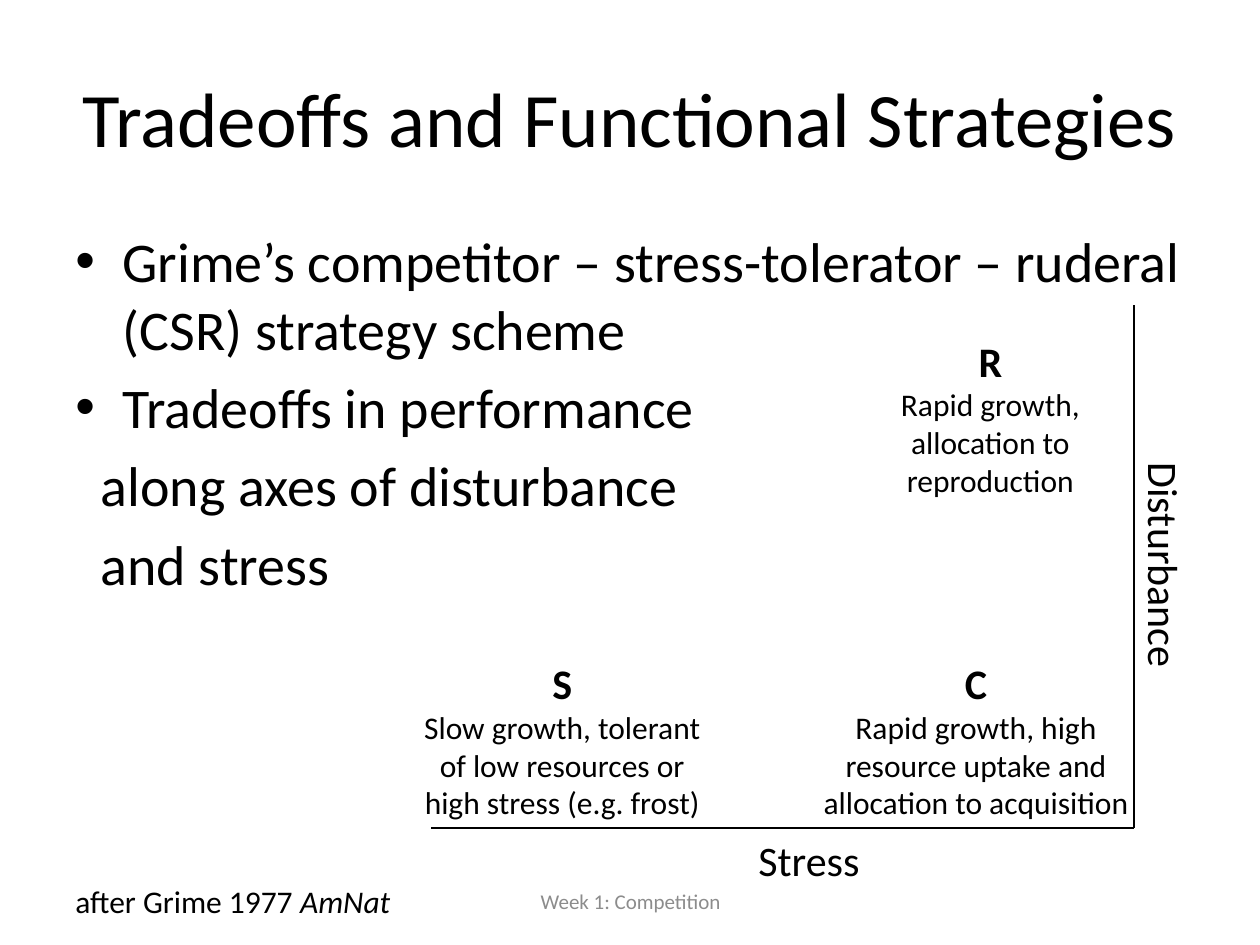
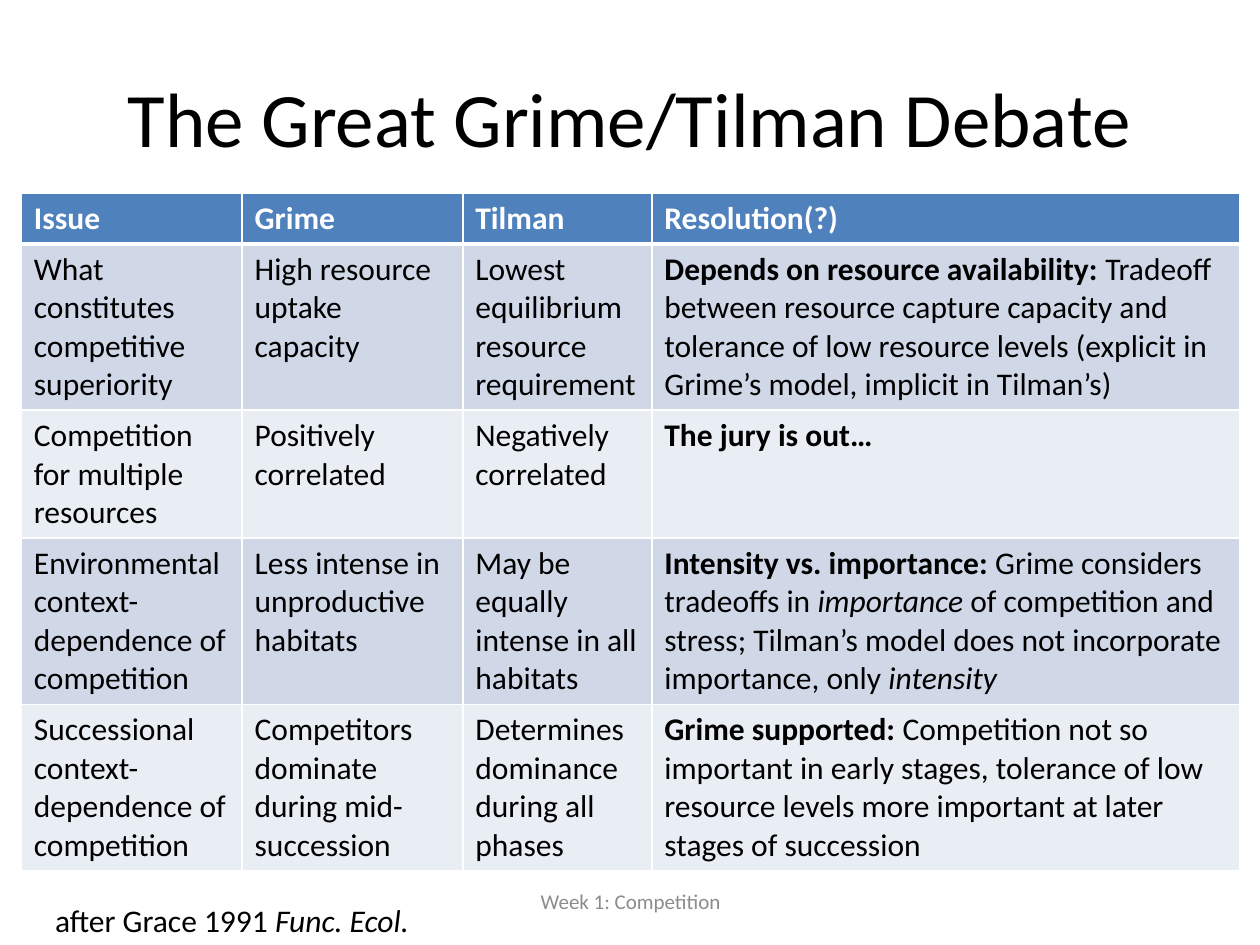
from lxml.etree import SubElement
from pptx import Presentation
from pptx.dml.color import RGBColor
from pptx.enum.shapes import MSO_CONNECTOR
from pptx.enum.text import MSO_ANCHOR, PP_ALIGN
from pptx.oxml.ns import qn
from pptx.util import Cm, Pt

FONT = "Calibri"
BLACK, WHITE, GREY = "000000", "FFFFFF", "8C8C8C"
HEADER_FILL = "4F81BD"
BAND_FILLS = ("D0D8E8", "E9EDF4")
TITLE_ONLY = 5

TITLE_BOX = (1.27, 0.76, 22.86, 3.18)
FOOTER_BOX = (8.69, 17.65, 8.05, 1.02)
FOOTER = "Week 1: Competition"

# A text is a string, or a list of strings and (string, style) pairs.
BOLD, ITALIC = "bold", "italic"

DEBATE_ROWS = [
    ["Issue", "Grime", "Tilman", "Resolution(?)"],
    ["What constitutes competitive superiority",
     "High resource uptake capacity",
     "Lowest equilibrium resource requirement",
     [("Depends on resource availability: ", BOLD),
      "Tradeoff between resource capture capacity and tolerance of low resource "
      "levels (explicit in Grime’s model, implicit in Tilman’s)"]],
    ["Competition for multiple resources",
     "Positively correlated",
     "Negatively correlated",
     [("The jury is out…", BOLD)]],
    ["Environmental context-dependence of competition",
     "Less intense in unproductive habitats",
     "May be equally intense in all habitats",
     [("Intensity vs. importance:", BOLD), " Grime considers tradeoffs in ",
      ("importance", ITALIC),
      " of competition and stress; Tilman’s model does not incorporate "
      "importance, only ",
      ("intensity", ITALIC)]],
    ["Successional context-dependence of competition",
     "Competitors dominate during mid-succession",
     "Determines dominance during all phases",
     [("Grime supported:", BOLD),
      " Competition not so important in early stages, tolerance of low resource "
      "levels more important at later stages of succession"]],
]


def color(hex_string):
    return RGBColor.from_string(hex_string)


def write(paragraph, text, size, hex_color=BLACK, align=PP_ALIGN.LEFT, bold=None):
    for part in [text] if isinstance(text, str) else text:
        words, style = (part, None) if isinstance(part, str) else part
        run = paragraph.add_run()
        run.text = words
        if style:
            setattr(run.font, style, True)
    paragraph.alignment = align
    font = paragraph.font
    font.name, font.size, font.bold = FONT, Pt(size), bold
    font.color.rgb = color(hex_color)


def add_text_frame(slide, box, wrap=True):
    text_box = slide.shapes.add_textbox(*map(Cm, box))
    text_box.text_frame.word_wrap = wrap
    return text_box.text_frame


def add_label(slide, box, text, size):
    """Add one unwrapped line of text and return its shape."""
    text_box = slide.shapes.add_textbox(*map(Cm, box))
    text_box.text_frame.word_wrap = False
    write(text_box.text_frame.paragraphs[0], text, size)
    return text_box


def add_line(slide, start, end):
    line = slide.shapes.add_connector(MSO_CONNECTOR.STRAIGHT, *map(Cm, start + end))
    line.line.color.rgb = color(BLACK)
    line.line.width = Pt(0.75)
    SubElement(line._element.spPr, qn("a:effectLst"))


def add_titled_slide(presentation, title):
    """Add a slide with the shared title style and footer."""
    slide = presentation.slides.add_slide(presentation.slide_layouts[TITLE_ONLY])
    shape = slide.shapes.title
    shape.left, shape.top, shape.width, shape.height = map(Cm, TITLE_BOX)
    shape.text_frame.vertical_anchor = MSO_ANCHOR.MIDDLE
    write(shape.text_frame.paragraphs[0], title, 44, align=PP_ALIGN.CENTER)

    footer = add_text_frame(slide, FOOTER_BOX)
    footer.vertical_anchor = MSO_ANCHOR.MIDDLE
    write(footer.paragraphs[0], FOOTER, 12, GREY, PP_ALIGN.CENTER)
    return slide


def add_points(slide, box, points):
    """Add (text, is_bulleted) points; those without a bullet are indented."""
    frame = add_text_frame(slide, box)
    for index, (text, is_bulleted) in enumerate(points):
        paragraph = frame.add_paragraph() if index else frame.paragraphs[0]
        properties = paragraph._p.get_or_add_pPr()
        properties.set("marL", str(Cm(0.95 if is_bulleted else 0.51)))
        if is_bulleted:
            properties.set("indent", str(-Cm(0.95)))
            SubElement(properties, qn("a:buFont"), typeface="Arial")
            SubElement(properties, qn("a:buChar"), char="•")
        if index:
            paragraph.space_before = Pt(6.4)
        write(paragraph, text, 32)


def add_strategy(slide, box, letter, description):
    frame = add_text_frame(slide, box)
    write(frame.paragraphs[0], letter, 24, align=PP_ALIGN.CENTER, bold=True)
    write(frame.add_paragraph(), description, 18, align=PP_ALIGN.CENTER)


def add_strategy_diagram(slide, left, top, width, height):
    """Draw the stress and disturbance axes with the three strategies."""
    right, bottom = left + width, top + height
    add_line(slide, (left, bottom), (right, bottom))
    add_line(slide, (right, bottom), (right, top))
    add_label(slide, (left + 6.35, bottom, 2.57, 1.27), "Stress", 24)
    disturbance = add_label(
        slide, (right - 1.73, top + height / 2 - 0.63, 4.7, 1.27), "Disturbance", 24)
    disturbance.rotation = 90

    lower = bottom - 3.56
    add_strategy(slide, (left - 0.43, lower, 6.15, 3.58), "S",
                 "Slow growth, tolerant of low resources or high stress (e.g. frost)")
    add_strategy(slide, (right - 6.55, lower, 6.73, 3.58), "C",
                 "Rapid growth, high resource uptake and allocation to acquisition")
    add_strategy(slide, (right - 5.97, top + 0.48, 6.15, 3.58), "R",
                 "Rapid growth, allocation to reproduction")


def set_borders(cell, **widths):
    """Draw white borders, with widths in points keyed by side (L, R, T, B)."""
    properties = cell._tc.get_or_add_tcPr()
    for side in "LRTB":
        border = SubElement(properties, qn(f"a:ln{side}"), w=str(Pt(widths.get(side, 1))))
        fill = SubElement(border, qn("a:solidFill"))
        SubElement(fill, qn("a:srgbClr"), val=WHITE)


def add_debate_table(slide, left, top, column_widths, row_heights):
    box = (left, top, sum(column_widths), sum(row_heights))
    table = slide.shapes.add_table(
        len(row_heights), len(column_widths), *map(Cm, box)).table
    for column, width in zip(table.columns, column_widths):
        column.width = Cm(width)
    for row_index, (row, height) in enumerate(zip(table.rows, row_heights)):
        row.height = Cm(height)
        is_header = row_index == 0
        fill = HEADER_FILL if is_header else BAND_FILLS[(row_index - 1) % 2]
        for cell, text in zip(row.cells, DEBATE_ROWS[row_index]):
            set_borders(cell, B=3 if is_header else 1, T=3 if row_index == 1 else 1)
            cell.fill.solid()
            cell.fill.fore_color.rgb = color(fill)
            write(cell.text_frame.paragraphs[0], text, 18,
                  WHITE if is_header else BLACK, bold=is_header)


def build_strategies_slide(presentation):
    slide = add_titled_slide(presentation, "Tradeoffs and Functional Strategies")
    add_points(slide, (1.27, 4.45, 22.86, 12.57), [
        ("Grime’s competitor – stress-tolerator – ruderal (CSR) strategy scheme", True),
        ("Tradeoffs in performance", True),
        ("along axes of disturbance", False),
        ("and stress", False),
    ])
    add_strategy_diagram(slide, 8.69, 6.15, 14.17, 10.54)
    add_label(slide, (1.27, 17.65, 6.93, 1.02),
              ["after Grime 1977 ", ("AmNat", ITALIC)], 18)


def build_debate_slide(presentation):
    slide = add_titled_slide(presentation, "The Great Grime/Tilman Debate")
    add_debate_table(slide, 0.43, 3.89, column_widths=(4.45, 4.45, 3.81, 11.86),
                     row_heights=(1.03, 3.35, 2.58, 3.35, 3.35))
    add_label(slide, (0.86, 18.03, 7.77, 1.02),
              ["after Grace 1991 ", ("Func. Ecol.", ITALIC)], 18)


def main():
    presentation = Presentation()
    presentation.slide_width, presentation.slide_height = Cm(25.4), Cm(19.05)
    build_strategies_slide(presentation)
    build_debate_slide(presentation)
    presentation.save("out.pptx")


if __name__ == "__main__":
    main()
